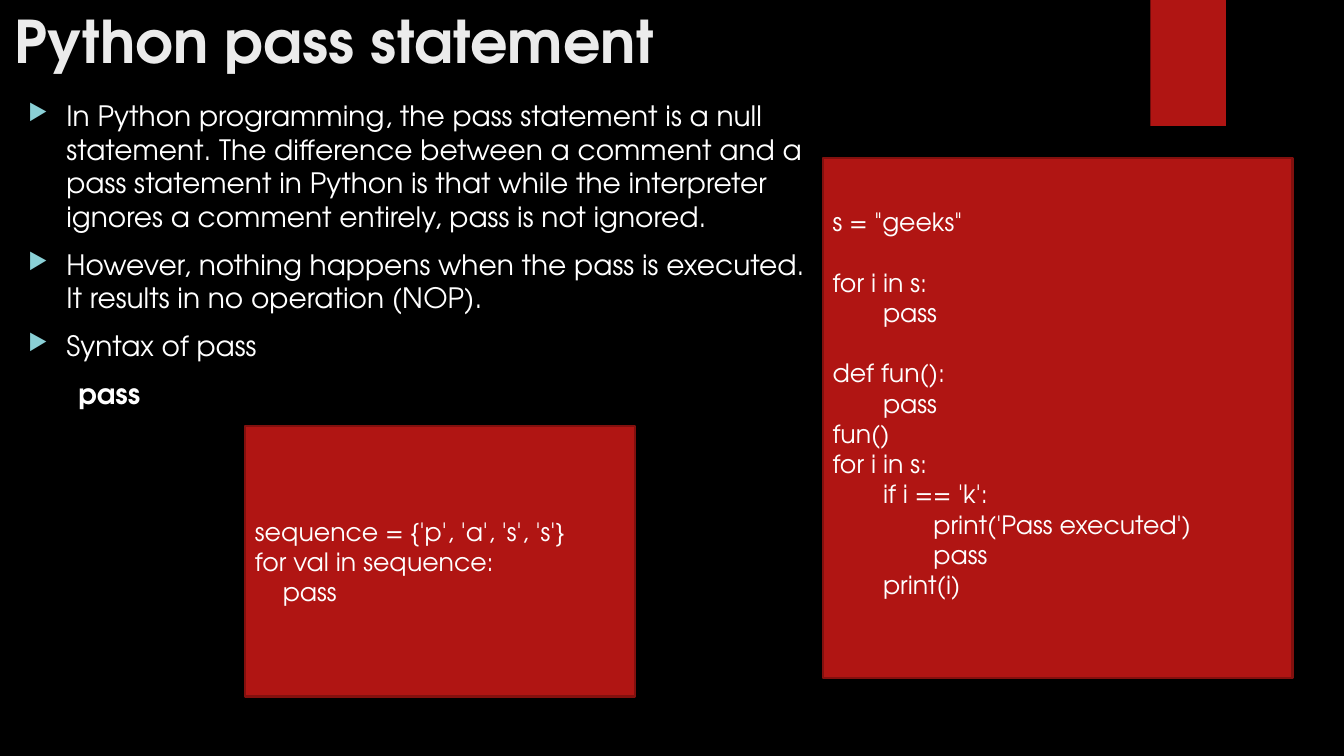
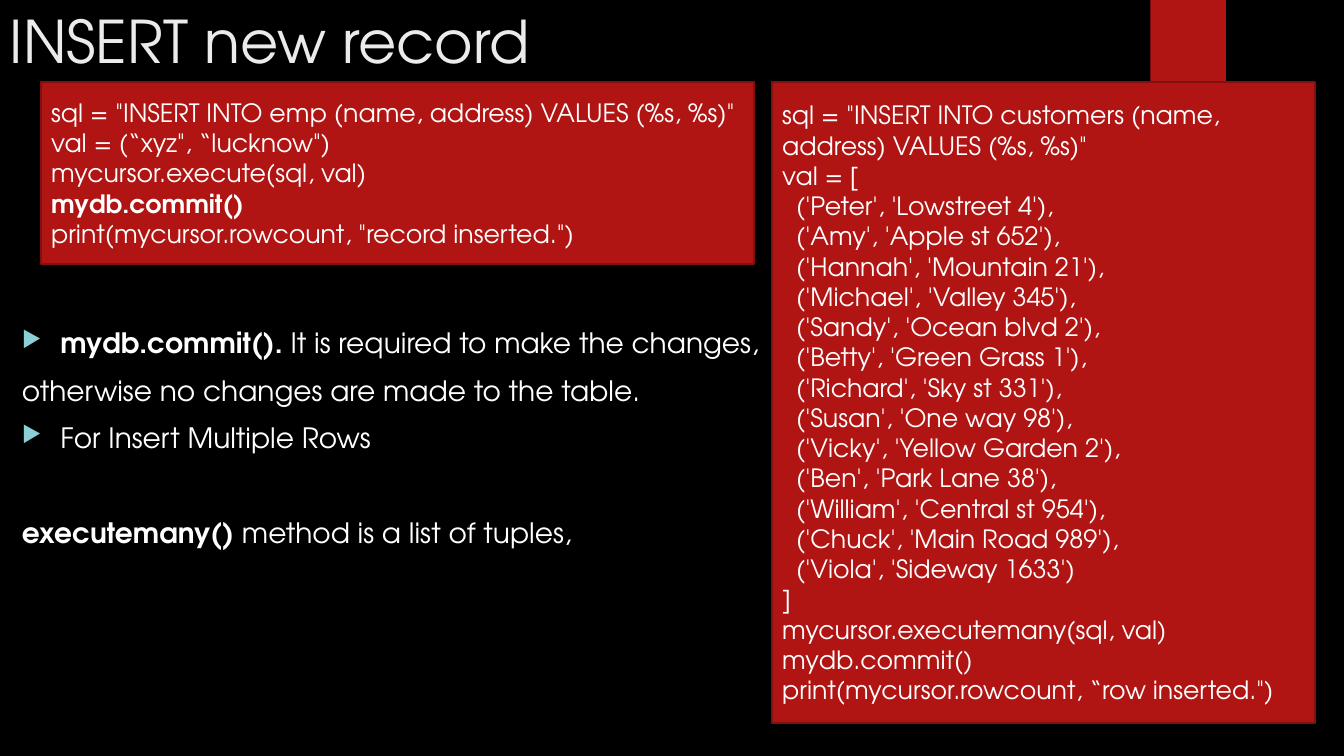
from dataclasses import dataclass

from lxml import etree
from pptx import Presentation
from pptx.dml.color import RGBColor
from pptx.enum.shapes import MSO_SHAPE
from pptx.enum.text import MSO_ANCHOR, PP_ALIGN
from pptx.oxml.ns import qn
from pptx.util import Inches, Pt

BLACK = RGBColor(0x00, 0x00, 0x00)
WHITE = RGBColor(0xFF, 0xFF, 0xFF)
PALE = RGBColor(0xEB, 0xEB, 0xEB)
RED = RGBColor(0xB0, 0x15, 0x13)
DARK = RGBColor(0x82, 0x10, 0x0E)
AQUA = RGBColor(0x8A, 0xD0, 0xD6)
FONT = "TeX Gyre Adventor"
CODE_LINE = Pt(21.6)
TAB = Inches(0.5)


@dataclass
class Box:
    left: float
    top: float
    width: float
    height: float

    def place(self):
        return [Inches(n) for n in (self.left, self.top, self.width, self.height)]


@dataclass
class Item:
    """A body paragraph: a bold lead, then plain text."""
    lead: str = ""
    text: str = ""
    mark: bool = True
    indent: float = 0
    gap: float = 10


@dataclass
class Code:
    box: Box
    text: str
    bold: str = ""
    foot: float = 0.05


@dataclass
class Page:
    title: str
    head: Box
    bold: bool
    body: Box
    items: list[Item]
    codes: list[Code]


PASS_LOOP = """sequence = {'p', 'a', 's', 's'}
for val in sequence:
    pass"""

PASS_USES = """s = "geeks"

for i in s:
\tpass

def fun():
\tpass
fun()
for i in s:
\tif i == 'k':
\t\tprint('Pass executed')
\t\tpass
\tprint(i)"""

ONE_ROW = """sql = "INSERT INTO emp (name, address) VALUES (%s, %s)"
val = (“xyz", “lucknow")
mycursor.execute(sql, val)
mydb.commit()
print(mycursor.rowcount, "record inserted.")"""

MANY_ROWS = """sql = "INSERT INTO customers (name, address) VALUES (%s, %s)"
val = [
  ('Peter', 'Lowstreet 4'),
  ('Amy', 'Apple st 652'),
  ('Hannah', 'Mountain 21'),
  ('Michael', 'Valley 345'),
  ('Sandy', 'Ocean blvd 2'),
  ('Betty', 'Green Grass 1'),
  ('Richard', 'Sky st 331'),
  ('Susan', 'One way 98'),
  ('Vicky', 'Yellow Garden 2'),
  ('Ben', 'Park Lane 38'),
  ('William', 'Central st 954'),
  ('Chuck', 'Main Road 989'),
  ('Viola', 'Sideway 1633')
]
mycursor.executemany(sql, val)
mydb.commit()
print(mycursor.rowcount, “row inserted.")"""

PAGES = [
    Page(
        "Python pass statement", Box(0.05, 0, 10.29, 0.81), True,
        Box(0.18, 0.93, 7.98, 3.25),
        [
            Item(text="In Python programming, the pass statement is a null "
                 "statement. The difference between a comment and a pass "
                 "statement in Python is that while the interpreter ignores "
                 "a comment entirely, pass is not ignored."),
            Item(text="However, nothing happens when the pass is executed. "
                 "It results in no operation (NOP)."),
            Item(text="Syntax of pass"),
            Item(lead="pass", mark=False, indent=0.5),
        ],
        [
            Code(Box(2.43, 4.23, 3.87, 2.68), PASS_LOOP),
            Code(Box(8.16, 1.57, 4.66, 5.16), PASS_USES, foot=0.35),
        ],
    ),
    Page(
        "INSERT new record", Box(0, 0, 10.29, 0.81), False,
        Box(0.12, 3.18, 7.7, 2.6),
        [
            Item("mydb.commit(). ", "It is required to make the changes,"),
            Item(text="otherwise no changes are made to the table.", mark=False),
            Item(text="For Insert Multiple Rows"),
            Item("executemany()", " method is a list of tuples,", mark=False, gap=44),
        ],
        [
            Code(Box(0.41, 0.81, 7.07, 1.81), ONE_ROW, bold="mydb.commit()"),
            Code(Box(7.66, 0.81, 5.38, 6.36), MANY_ROWS),
        ],
    ),
]


def style(font, size: float, color: RGBColor = WHITE, bold: bool = False) -> None:
    font.name = FONT
    font.size = Pt(size)
    font.color.rgb = color
    font.bold = bold


def indent(para, left: float, first: float = 0) -> None:
    props = para._p.get_or_add_pPr()
    props.set("marL", str(Inches(left)))
    props.set("indent", str(Inches(first)))


def bullet(para) -> None:
    indent(para, 0.38, -0.38)
    props = para._p.get_or_add_pPr()
    color = etree.SubElement(props, qn("a:buClr"))
    etree.SubElement(color, qn("a:srgbClr"), val=str(AQUA))
    etree.SubElement(props, qn("a:buSzPct"), val="80000")
    etree.SubElement(props, qn("a:buChar"), char="▶")


def add_tabs(para, count: int) -> None:
    """Set one tab stop for each leading tab."""
    stops = etree.SubElement(para._p.get_or_add_pPr(), qn("a:tabLst"))
    for n in range(1, count + 1):
        etree.SubElement(stops, qn("a:tab"), pos=str(TAB * n), algn="l")


def add_rect(slide, box: Box):
    shape = slide.shapes.add_shape(MSO_SHAPE.RECTANGLE, *box.place())
    shape.shadow.inherit = False
    shape.fill.solid()
    shape.fill.fore_color.rgb = RED
    shape.line.fill.background()
    return shape


def add_frame(slide, box: Box):
    frame = slide.shapes.add_textbox(*box.place()).text_frame
    frame.word_wrap = True
    return frame


def next_para(frame, first: bool):
    return frame.paragraphs[0] if first else frame.add_paragraph()


def add_body(slide, box: Box, items: list[Item]) -> None:
    frame = add_frame(slide, box)
    for n, item in enumerate(items):
        para = next_para(frame, n == 0)
        if item.mark:
            bullet(para)
        else:
            indent(para, item.indent)
        if n:
            para.space_before = Pt(item.gap)
        for text, bold in ((item.lead, True), (item.text, False)):
            if text:
                run = para.add_run()
                run.text = text
                style(run.font, 20, bold=bold)


def add_code(slide, code: Code) -> None:
    """Draw a code panel; an empty line becomes space before the next one."""
    shape = add_rect(slide, code.box)
    shape.line.color.rgb = DARK
    shape.line.width = Pt(1.5)
    frame = shape.text_frame
    frame.word_wrap = True
    frame.vertical_anchor = MSO_ANCHOR.MIDDLE
    frame.margin_bottom = Inches(code.foot)
    gap = 0
    for n, line in enumerate(code.text.split("\n")):
        if not line:
            gap += CODE_LINE
            continue
        para = next_para(frame, n == 0)
        para.text = line
        tabs = line.count("\t")
        if tabs:
            add_tabs(para, tabs)
        para.alignment = PP_ALIGN.LEFT
        if gap:
            para.space_before = gap
            gap = 0
        for run in para.runs:
            style(run.font, 18, bold=line == code.bold)


def add_page(deck, page: Page) -> None:
    slide = deck.slides.add_slide(deck.slide_layouts[6])
    add_rect(slide, Box(11.41, 0, 0.75, 1.25))
    frame = add_frame(slide, page.head)
    frame.text = page.title
    style(frame.paragraphs[0].runs[0].font, 42, PALE, page.bold)
    add_body(slide, page.body, page.items)
    for code in page.codes:
        add_code(slide, code)


def main() -> None:
    deck = Presentation()
    deck.slide_width = Inches(13.33)
    deck.slide_height = Inches(7.5)
    fill = deck.slide_master.background.fill
    fill.solid()
    fill.fore_color.rgb = BLACK
    for page in PAGES:
        add_page(deck, page)
    deck.save("out.pptx")


if __name__ == "__main__":
    main()
